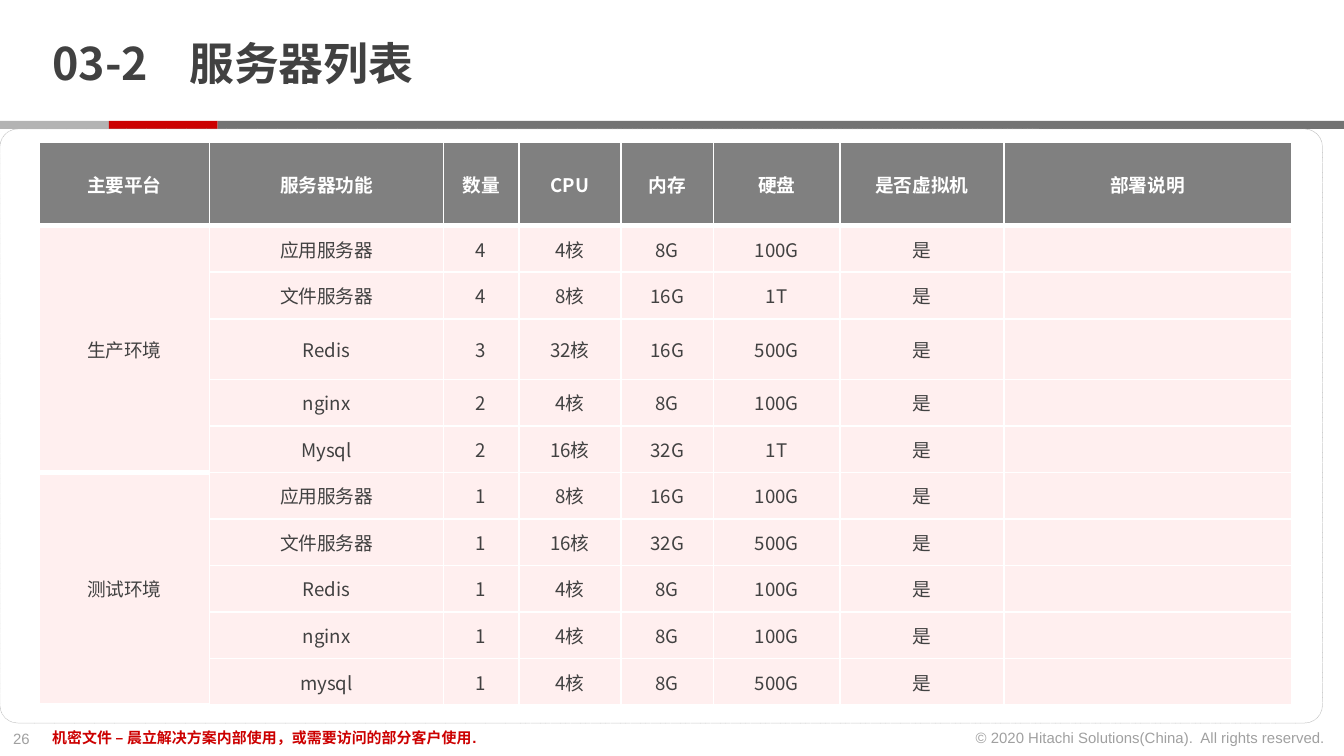
"""Build the server list slide with python-pptx."""
from lxml import etree
from pptx import Presentation
from pptx.dml.color import RGBColor
from pptx.enum.dml import MSO_LINE
from pptx.enum.shapes import MSO_SHAPE
from pptx.enum.text import MSO_ANCHOR, PP_ALIGN
from pptx.oxml.ns import qn
from pptx.util import Inches, Pt

LEFT, CENTER, RIGHT = PP_ALIGN.LEFT, PP_ALIGN.CENTER, PP_ALIGN.RIGHT
TOP, MIDDLE = MSO_ANCHOR.TOP, MSO_ANCHOR.MIDDLE
RECT, ROUNDED = MSO_SHAPE.RECTANGLE, MSO_SHAPE.ROUNDED_RECTANGLE
DOTTED = MSO_LINE.ROUND_DOT

SLIDE_WIDTH = 10
SLIDE_HEIGHT = SLIDE_WIDTH * 9 / 16
SANS, CJK = "Arial", "Noto Sans CJK SC"
DARK, RED, WHITE, PALE = "414141", "CC0000", "FFFFFF", "FFEFEF"
HEADER_GRAY, FOOTER_GRAY, LIGHT_GRAY = "808080", "A0A0A0", "B3B3B3"

TITLE = "03-2\t服务器列表"
PAGE_NUMBER = "26"
NOTICE = "机密文件 – 晨立解决方案内部使用，或需要访问的部分客户使用."
COPYRIGHT = "© 2020 Hitachi Solutions(China).  All rights reserved."

BARS = [(0, 0.81, LIGHT_GRAY), (0.81, 0.81, RED), (1.62, 8.38, "737373")]

HEADERS = ["主要平台", "服务器功能", "数量", "CPU", "内存", "硬盘", "是否虚拟机", "部署说明"]
COL_WIDTHS = [1.27, 1.74, 0.56, 0.76, 0.69, 0.94, 1.22, 2.14]
ENVIRONMENTS = {
    "生产环境": [
        ("应用服务器", "4", "4核", "8G", "100G", "是", ""),
        ("文件服务器", "4", "8核", "16G", "1T", "是", ""),
        ("Redis", "3", "32核", "16G", "500G", "是", ""),
        ("nginx", "2", "4核", "8G", "100G", "是", ""),
        ("Mysql", "2", "16核", "32G", "1T", "是", ""),
    ],
    "测试环境": [
        ("应用服务器", "1", "8核", "16G", "100G", "是", ""),
        ("文件服务器", "1", "16核", "32G", "500G", "是", ""),
        ("Redis", "1", "4核", "8G", "100G", "是", ""),
        ("nginx", "1", "4核", "8G", "100G", "是", ""),
        ("mysql", "1", "4核", "8G", "500G", "是", ""),
    ],
}
TABLE_HEIGHT, HEADER_HEIGHT, TALL_HEIGHT, TALL_ROW = 4.19, 0.62, 0.45, 3


def rgb(color):
    return RGBColor.from_string(color)


def style(p, size, font, color, bold=False, align=LEFT):
    p.alignment = align
    p.font.size, p.font.bold, p.font.name = Pt(size), bold, font
    p.font.color.rgb = rgb(color)
    etree.SubElement(p._p.pPr.find(qn("a:defRPr")), qn("a:ea"), typeface=CJK)


def add_text(s, box, text, *look, anchor=TOP, wrap=False, margin=0.05, tab=None, spacing=None):
    tf = s.shapes.add_textbox(*map(Inches, box)).text_frame
    tf.word_wrap, tf.vertical_anchor = wrap, anchor
    tf.margin_top = tf.margin_bottom = Inches(margin)
    p = tf.paragraphs[0]
    p.add_run().text = text
    p.line_spacing = spacing
    if tab:
        tabs = etree.SubElement(p._p.get_or_add_pPr(), qn("a:tabLst"))
        etree.SubElement(tabs, qn("a:tab"), pos=str(Inches(tab)), algn="l")
    style(p, *look)


def add_bar(s, x, width, color):
    sp = s.shapes.add_shape(RECT, Inches(x), Inches(0.9), Inches(width), Inches(0.06))
    sp.shadow.inherit = False
    sp.fill.solid()
    sp.fill.fore_color.rgb = rgb(color)
    sp.line.fill.background()


def add_frame(s):
    sp = s.shapes.add_shape(ROUNDED, 0, Inches(0.96), Inches(9.84), Inches(4.42))
    sp.adjustments[0] = 0.03
    sp.shadow.inherit = False
    sp.fill.background()
    sp.line.color.rgb = rgb(LIGHT_GRAY)
    sp.line.width, sp.line.dash_style = Pt(0.25), DOTTED


def set_borders(cell, widths):
    tc_pr = cell._tc.get_or_add_tcPr()
    for side, width in zip("LRTB", widths):
        ln = etree.SubElement(tc_pr, qn(f"a:ln{side}"), w=str(Pt(width)))
        fill = etree.SubElement(ln, qn("a:solidFill"))
        etree.SubElement(fill, qn("a:srgbClr"), val=WHITE)


def fill_cell(cell, text, is_header, thick_top, thick_bottom):
    set_borders(cell, (1, 1, 3 if thick_top else 1, 3 if thick_bottom else 1))
    cell.fill.solid()
    cell.fill.fore_color.rgb = rgb(HEADER_GRAY if is_header else PALE)
    cell.vertical_anchor = MIDDLE
    cell.margin_left = cell.margin_right = Inches(0.06)
    cell.margin_top = cell.margin_bottom = Inches(0.03)
    p = cell.text_frame.paragraphs[0]
    if text:
        p.add_run().text = text
    else:
        etree.SubElement(p._p, qn("a:endParaRPr"), sz="1000")
    style(p, 10, CJK, WHITE if is_header else DARK, is_header, CENTER)


def add_server_table(s):
    rows, starts, ends = [HEADERS], [], []
    for name, servers in ENVIRONMENTS.items():
        starts.append(len(rows))
        rows += [("" if i else name, *server) for i, server in enumerate(servers)]
        ends.append(len(rows) - 1)
    table = s.shapes.add_table(len(rows), len(HEADERS), Inches(0.29), Inches(1.06),
                               Inches(sum(COL_WIDTHS)), Inches(TABLE_HEIGHT)).table
    for column, width in zip(table.columns, COL_WIDTHS):
        column.width = Inches(width)
    row_height = (TABLE_HEIGHT - HEADER_HEIGHT - TALL_HEIGHT) / (len(rows) - 2)
    special = {0: HEADER_HEIGHT, TALL_ROW: TALL_HEIGHT}
    for r, values in enumerate(rows):
        table.rows[r].height = Inches(special.get(r, row_height))
        for c, value in enumerate(values):
            thick_top = r == 1 or (c == 0 and r in starts)
            thick_bottom = r == 0 or (c == 0 and r in starts + ends)
            fill_cell(table.cell(r, c), value, r == 0, thick_top, thick_bottom)
    for first, last in zip(starts, ends):
        table.cell(first, 0).merge(table.cell(last, 0))


def main():
    prs = Presentation()
    prs.slide_width, prs.slide_height = Inches(SLIDE_WIDTH), Inches(SLIDE_HEIGHT)
    s = prs.slides.add_slide(prs.slide_layouts[6])
    add_text(s, (0, 5.38, 0.34, 0.24), PAGE_NUMBER, 8, SANS, FOOTER_GRAY)
    for bar in BARS:
        add_bar(s, *bar)
    add_text(s, (7.12, 5.37, 2.84, 0.24), COPYRIGHT, 8, SANS, FOOTER_GRAY, False, RIGHT)
    add_text(s, (0.29, 5.37, 6.74, 0.24), NOTICE, 8, SANS, RED, True, wrap=True)
    add_text(s, (0.29, 0.13, 7.71, 0.73), TITLE, 24, CJK, DARK, True,
             anchor=MIDDLE, wrap=True, margin=0, tab=1.02, spacing=0.85)
    add_frame(s)
    add_server_table(s)
    prs.save("out.pptx")


if __name__ == "__main__":
    main()
